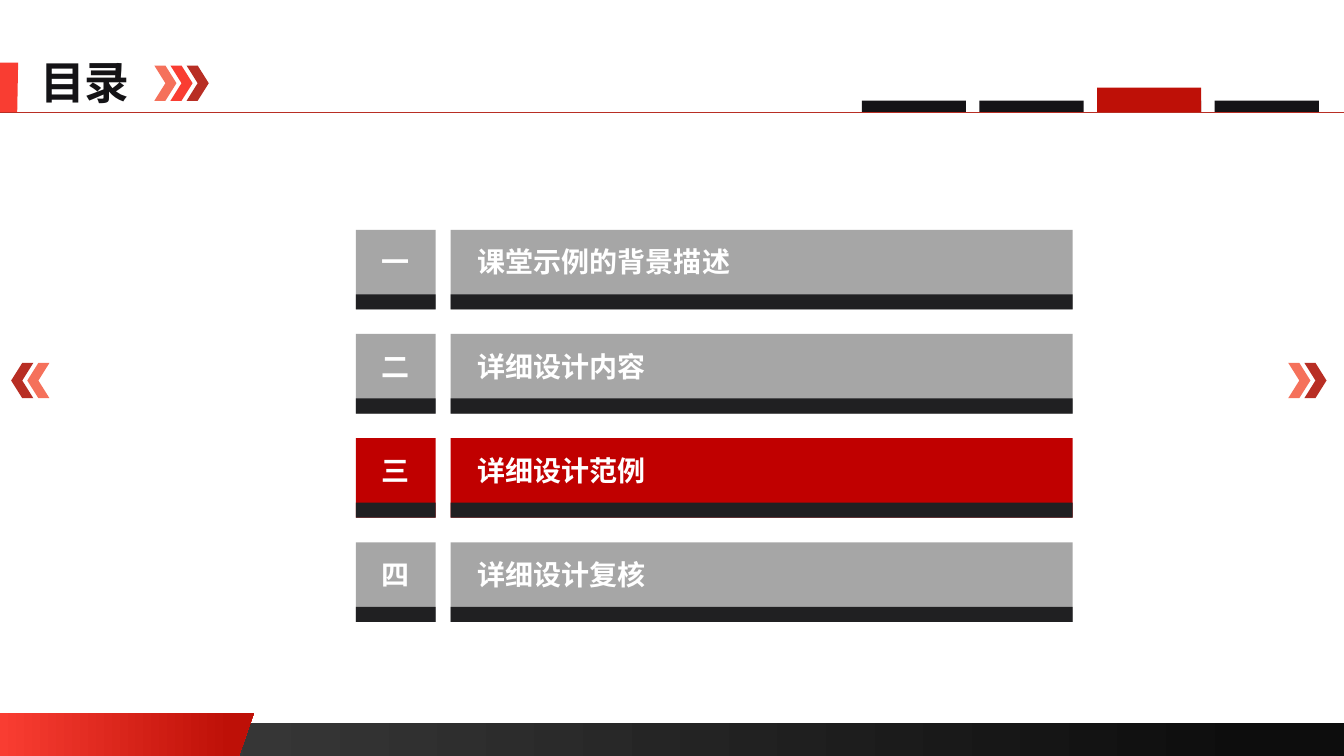
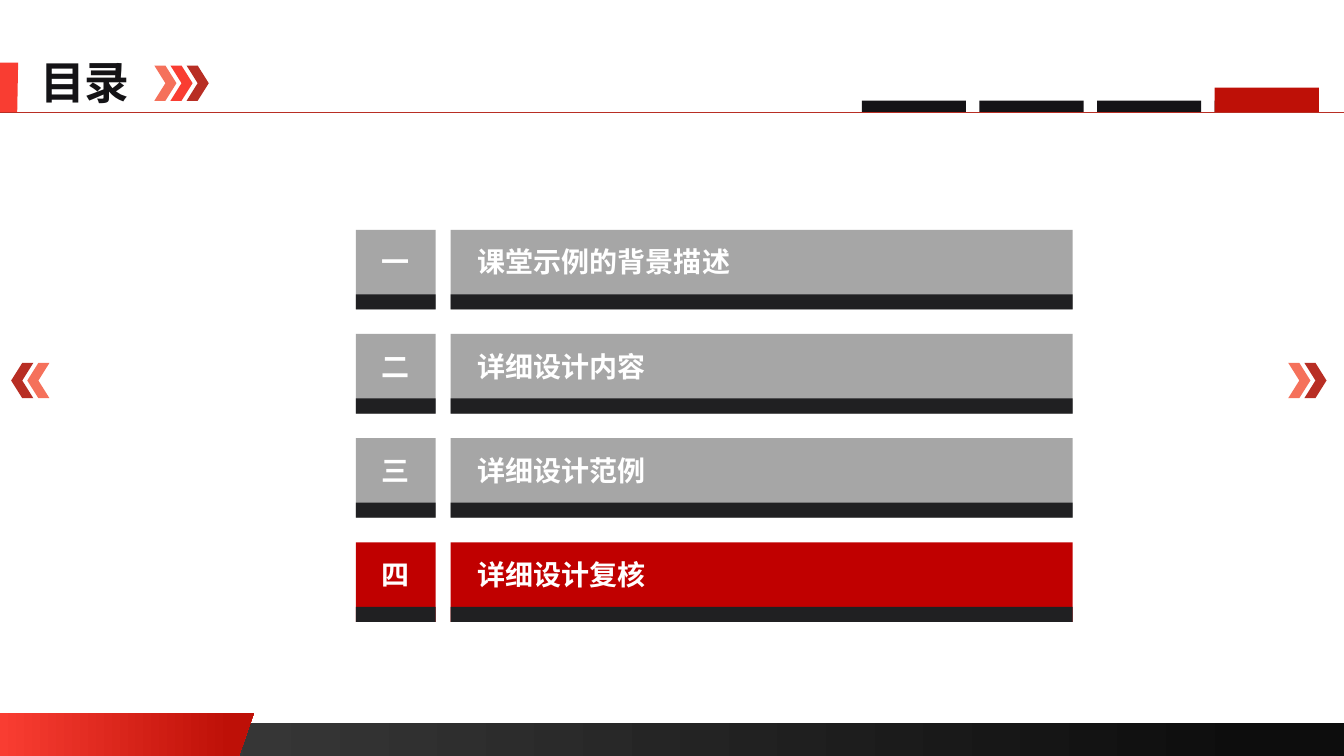
"""Build the two agenda slides that introduce chapters three and four."""

from dataclasses import dataclass

from lxml import etree
from pptx import Presentation
from pptx.dml.color import RGBColor
from pptx.enum.shapes import MSO_CONNECTOR, MSO_SHAPE
from pptx.enum.text import MSO_ANCHOR, PP_ALIGN
from pptx.oxml.ns import qn
from pptx.shapes.autoshape import Shape
from pptx.shapes.shapetree import GroupShapes, SlideShapes
from pptx.slide import Slide
from pptx.util import Emu, Inches, Pt

RECTANGLE = MSO_SHAPE.RECTANGLE
CHEVRON = MSO_SHAPE.CHEVRON
STRAIGHT = MSO_CONNECTOR.STRAIGHT
TOP = MSO_ANCHOR.TOP
LEFT = PP_ALIGN.LEFT
CENTER = PP_ALIGN.CENTER

WHITE = RGBColor(0xFF, 0xFF, 0xFF)
INK = RGBColor(0x14, 0x13, 0x16)
STRIP = RGBColor(0x20, 0x20, 0x22)
GRAY = RGBColor(0xA6, 0xA6, 0xA6)
CRIMSON = RGBColor(0xC0, 0x00, 0x00)
CORAL = RGBColor(0xF5, 0x71, 0x5B)
RED = RGBColor(0xF9, 0x3D, 0x32)
BRICK = RGBColor(0xB8, 0x2E, 0x24)
DEEP_RED = RGBColor(0xBE, 0x10, 0x07)
CHARCOAL = RGBColor(0x40, 0x40, 0x40)
BLACK = RGBColor(0x0D, 0x0D, 0x0D)

FONT = "Noto Sans CJK SC"
SLIDE_WIDTH = Inches(13.33)
SLIDE_HEIGHT = Inches(7.5)
BLANK_LAYOUT = 6

Shapes = SlideShapes | GroupShapes
Point = tuple[float, float]


@dataclass(frozen=True)
class Box:
    """A rectangle in percent of the slide's width and height."""

    left: float
    top: float
    width: float
    height: float

    def lengths(self) -> tuple[Emu, Emu, Emu, Emu]:
        """Return left, top, width and height as slide lengths."""
        return (across(self.left), down(self.top),
                across(self.width), down(self.height))


@dataclass(frozen=True)
class TextStyle:
    """The look of one line of text."""

    size: int
    color: RGBColor
    align: PP_ALIGN = LEFT


@dataclass(frozen=True)
class Chapter:
    """One numbered entry of the agenda."""

    number: str
    title: str


@dataclass(frozen=True)
class ChevronRow:
    """A row of chevrons, listed from left to right."""

    left: float
    top: float
    colors: tuple[RGBColor, ...]
    rotation: int = 0


TITLE_STYLE = TextStyle(32, INK)
LABEL_STYLE = TextStyle(20, WHITE)
NUMBER_STYLE = TextStyle(20, WHITE, CENTER)

CHAPTERS = (
    Chapter("一", "课堂示例的背景描述"),
    Chapter("二", "详细设计内容"),
    Chapter("三", "详细设计范例"),
    Chapter("四", "详细设计复核"),
)
ACTIVE_CHAPTERS = (2, 3)

CHEVRON_ROWS = (
    ChevronRow(11.48, 8.67, (CORAL, RED, BRICK)),
    ChevronRow(95.85, 48, (CORAL, BRICK)),
    ChevronRow(0.83, 48, (BRICK, CORAL), 180),
)
CHEVRON_WIDTH, CHEVRON_HEIGHT, CHEVRON_PITCH = 1.65, 4.67, 1.2

RULE_TOP = 14.84
TAB_LEFT, TAB_PITCH, TAB_WIDTH, TAB_BOTTOM = 64.13, 8.75, 7.75, 14.8
TAB_HEIGHT, ACTIVE_TAB_HEIGHT = 1.47, 3.2

ROW_TOP, ROW_PITCH, ROW_HEIGHT, STRIP_HEIGHT = 30.4, 13.78, 10.53, 2
NUMBER_LEFT, NUMBER_WIDTH = 26.48, 5.93
BAR_LEFT, BAR_WIDTH = 33.53, 46.28
LABEL_INDENT, LABEL_DROP, LABEL_HEIGHT = 1.27, 1.33, 5.87


def across(percent: float) -> Emu:
    """Turn a share of the slide's width into a length."""
    return Emu(round(SLIDE_WIDTH * percent / 100))


def down(percent: float) -> Emu:
    """Turn a share of the slide's height into a length."""
    return Emu(round(SLIDE_HEIGHT * percent / 100))


def paint(shape: Shape, color: RGBColor) -> None:
    """Give a shape a flat fill without outline or shadow."""
    shape.shadow.inherit = False
    shape.line.fill.background()
    shape.fill.solid()
    shape.fill.fore_color.rgb = color


def paint_gradient(shape: Shape, start: RGBColor, end: RGBColor,
                   end_position: float) -> None:
    """Give a shape a fill that runs from left to right."""
    paint(shape, start)
    shape.fill.gradient()
    shape.fill.gradient_angle = 0
    stops = zip(shape.fill.gradient_stops, (start, end), (0, end_position))
    for stop, color, position in stops:
        stop.color.rgb = color
        stop.position = position


def add_block(shapes: Shapes, box: Box, color: RGBColor,
              kind: MSO_SHAPE = RECTANGLE) -> Shape:
    """Add a flat preset shape."""
    block = shapes.add_shape(kind, *box.lengths())
    paint(block, color)
    return block


def add_outline(shapes: Shapes, points: list[Point], color: RGBColor) -> Shape:
    """Add a closed polygon through the given points."""
    corners = [(across(left), down(top)) for left, top in points]
    builder = shapes.build_freeform(*corners[0])
    builder.add_line_segments(corners[1:], close=True)
    outline = builder.convert_to_shape()
    paint(outline, color)
    return outline


def add_text(shapes: Shapes, box: Box, text: str, style: TextStyle) -> None:
    """Add one line of bold text."""
    frame = shapes.add_textbox(*box.lengths()).text_frame
    frame.word_wrap = True
    frame.vertical_anchor = TOP
    para = frame.paragraphs[0]
    para.alignment = style.align
    span = para.add_run()
    span.text = text
    formats = {"name": FONT, "size": Pt(style.size), "bold": True}
    for name, value in formats.items():
        setattr(span.font, name, value)
    span.font.color.rgb = style.color
    east_asian = etree.SubElement(span.font._element, qn("a:ea"))
    east_asian.set("typeface", FONT)


def add_rule(shapes: Shapes) -> None:
    """Add the thin line below the title."""
    rule = shapes.add_connector(STRAIGHT, 0, down(RULE_TOP),
                                SLIDE_WIDTH, down(RULE_TOP))
    rule.line.color.rgb = BRICK
    rule.line.width = Pt(0.5)
    etree.SubElement(rule._element.spPr, qn("a:effectLst"))


def add_chevrons(shapes: Shapes, row: ChevronRow) -> None:
    """Add a group of evenly spaced chevrons."""
    group = shapes.add_group_shape()
    for index, color in enumerate(row.colors):
        box = Box(row.left + index * CHEVRON_PITCH, row.top,
                  CHEVRON_WIDTH, CHEVRON_HEIGHT)
        chevron = add_block(group.shapes, box, color, CHEVRON)
        chevron.rotation = row.rotation


def add_frame(shapes: Shapes) -> None:
    """Add the footer, the title and the ornaments all slides share."""
    footer = add_block(shapes, Box(0, 95.6, 100, 4.4), CHARCOAL)
    paint_gradient(footer, CHARCOAL, BLACK, 0.94)
    corner = add_outline(
        shapes, [(0, 94.27), (18.9, 94.27), (17.78, 100), (0, 100)], RED)
    paint_gradient(corner, RED, DEEP_RED, 0.91)
    add_outline(
        shapes, [(0, 8.27), (1.35, 8.27), (1.28, 14.93), (0, 14.93)], RED)
    add_text(shapes, Box(2.25, 6.53, 9, 8.53), "目录", TITLE_STYLE)
    add_rule(shapes)
    for row in CHEVRON_ROWS:
        add_chevrons(shapes, row)


def add_tab(shapes: Shapes, index: int, height: float,
            color: RGBColor) -> None:
    """Add one chapter tab that stands on the title line."""
    left = TAB_LEFT + index * TAB_PITCH
    add_block(shapes, Box(left, TAB_BOTTOM - height, TAB_WIDTH, height), color)


def add_chapter(shapes: Shapes, index: int, chapter: Chapter,
                color: RGBColor) -> None:
    """Add one agenda row with its number and title."""
    group = shapes.add_group_shape().shapes
    top = ROW_TOP + index * ROW_PITCH
    strip_top = top + ROW_HEIGHT - STRIP_HEIGHT
    for left, width in ((NUMBER_LEFT, NUMBER_WIDTH), (BAR_LEFT, BAR_WIDTH)):
        add_block(group, Box(left, top, width, ROW_HEIGHT), color)
        add_block(group, Box(left, strip_top, width, STRIP_HEIGHT), STRIP)
    text_top = top + LABEL_DROP
    add_text(group, Box(NUMBER_LEFT, text_top, NUMBER_WIDTH, LABEL_HEIGHT),
             chapter.number, NUMBER_STYLE)
    add_text(group, Box(BAR_LEFT + LABEL_INDENT, text_top,
                        BAR_WIDTH - LABEL_INDENT, LABEL_HEIGHT),
             chapter.title, LABEL_STYLE)


def draw_agenda(page: Slide, active: int) -> None:
    """Draw the agenda with one chapter highlighted."""
    add_frame(page.shapes)
    for index, chapter in enumerate(CHAPTERS):
        add_tab(page.shapes, index, TAB_HEIGHT, INK)
        color = CRIMSON if index == active else GRAY
        add_chapter(page.shapes, index, chapter, color)
    add_tab(page.shapes, active, ACTIVE_TAB_HEIGHT, DEEP_RED)


def main() -> None:
    """Build and save the deck."""
    deck = Presentation()
    deck.slide_width = SLIDE_WIDTH
    deck.slide_height = SLIDE_HEIGHT
    for active in ACTIVE_CHAPTERS:
        page = deck.slides.add_slide(deck.slide_layouts[BLANK_LAYOUT])
        draw_agenda(page, active)
    deck.save("out.pptx")


if __name__ == "__main__":
    main()
